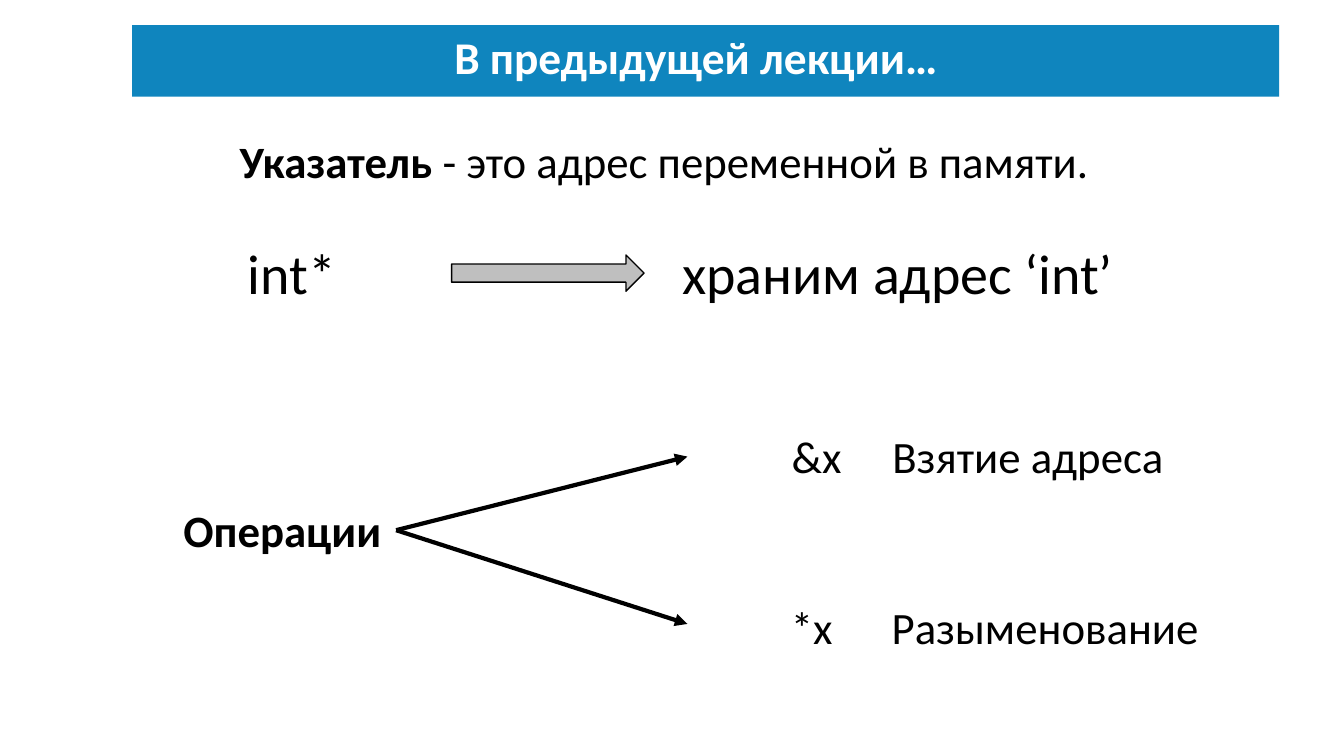
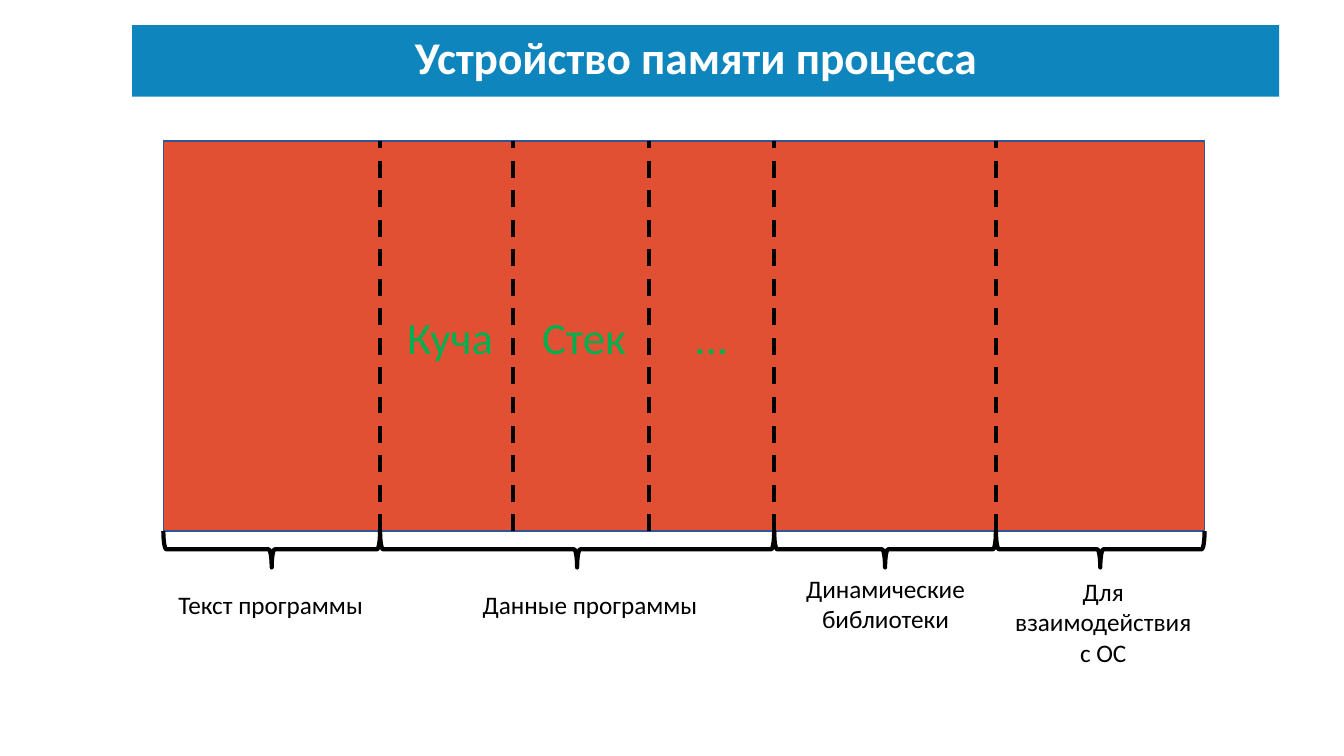
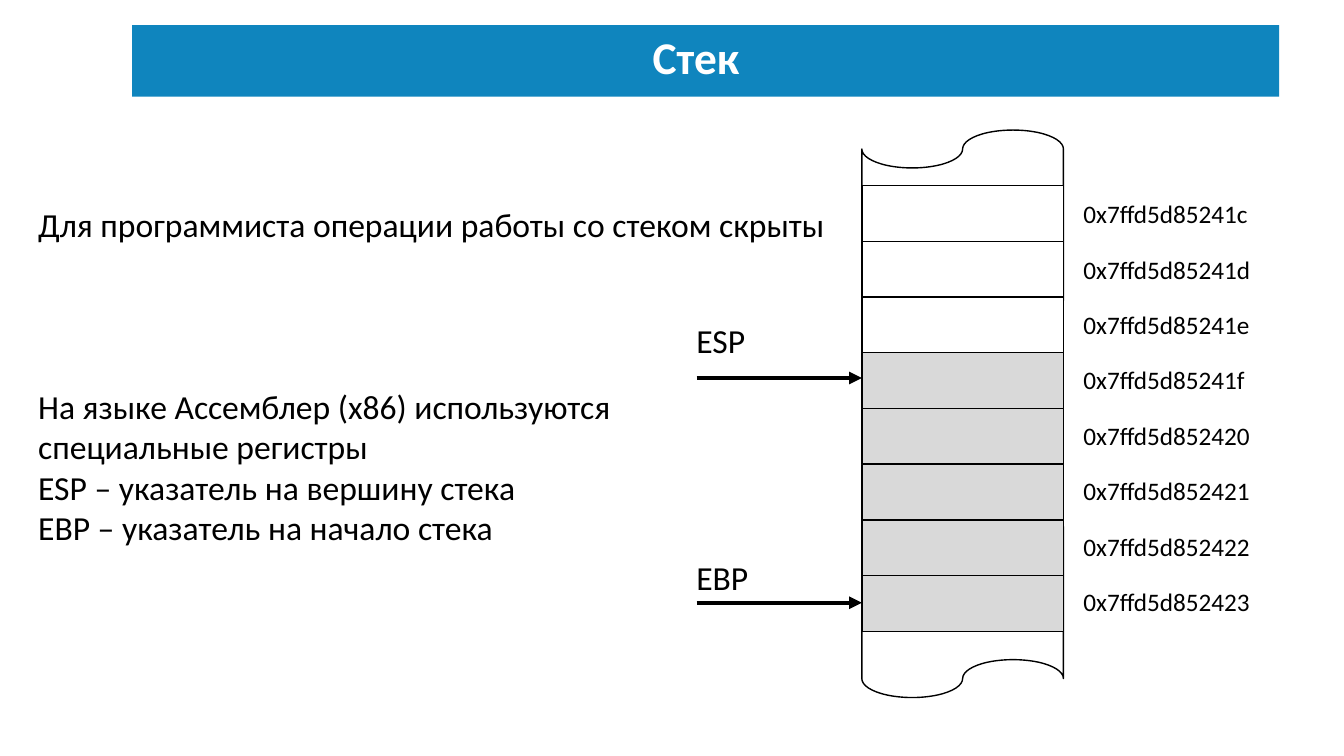
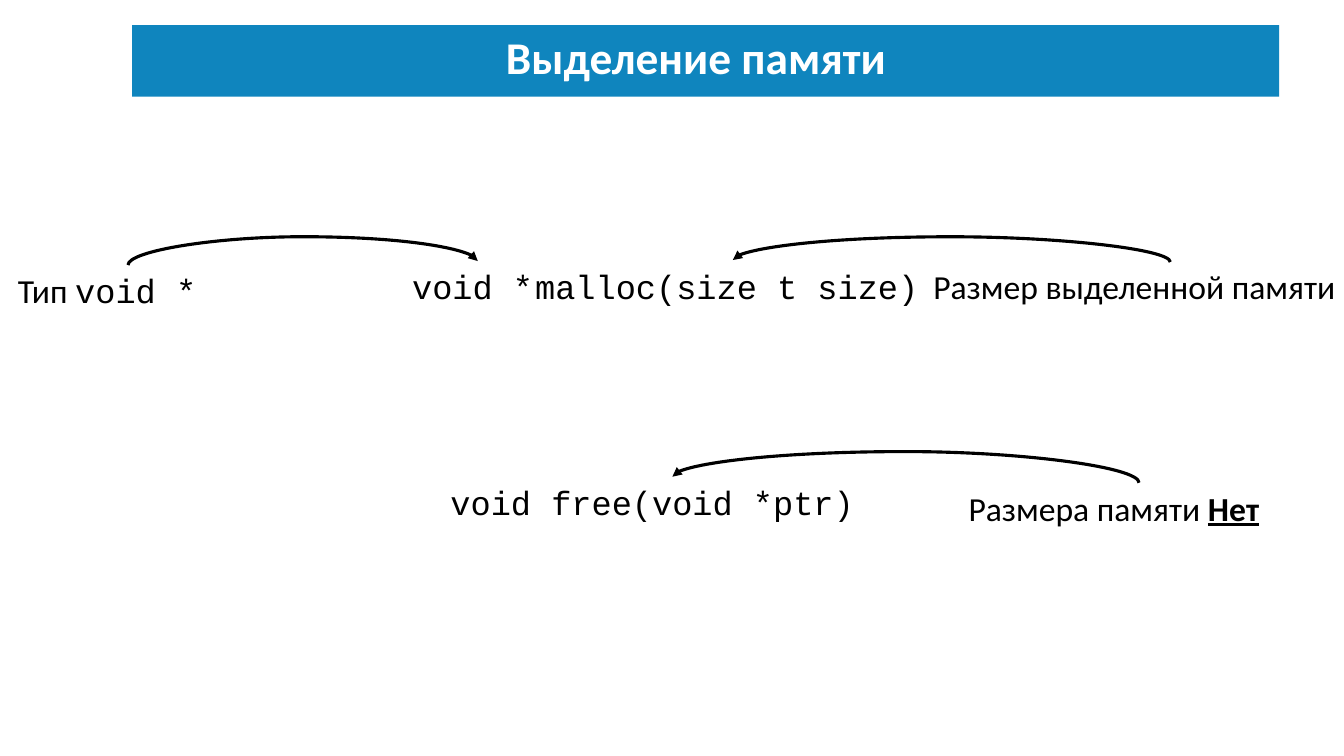
from itertools import pairwise
from pptx import Presentation
from pptx.dml.color import RGBColor
from pptx.enum.dml import MSO_LINE
from pptx.enum.shapes import MSO_CONNECTOR, MSO_SHAPE
from pptx.enum.text import MSO_ANCHOR, MSO_AUTO_SIZE, PP_ALIGN
from pptx.oxml.ns import qn
from pptx.util import Inches, Pt
from lxml import etree

RECT = MSO_SHAPE.RECTANGLE
ARROW = MSO_SHAPE.RIGHT_ARROW
BRACE = MSO_SHAPE.RIGHT_BRACE
TAPE = MSO_SHAPE.FLOWCHART_PUNCHED_TAPE
LINE = MSO_CONNECTOR.STRAIGHT
CURVE = MSO_CONNECTOR.CURVE
DASH = MSO_LINE.DASH
LEFT = PP_ALIGN.LEFT
MID = PP_ALIGN.CENTER
CENTER = MSO_ANCHOR.MIDDLE
GROW = MSO_AUTO_SIZE.SHAPE_TO_FIT_TEXT

COLS, ROWS = 133.33, 75
BLUE, RED, GREEN, NAVY = "0F85BE", "DF3E1E", "00B050", "325491"
BLACK, WHITE, GRAY, PALE = "000000", "FFFFFF", "BFBFBF", "D9D9D9"
SANS, MONO = "Calibri", "Courier New"


def cell(n):
    return Inches(n / 10)


def paint(part, hue):
    part.rgb = RGBColor.from_string(hue)


def style(run, size, hue=BLACK, bold=False, face=SANS, under=False):
    font = run.font
    font.size, font.name, font.bold = Pt(size), face, bold
    if under:
        font.underline = True
    paint(font.color, hue)


def label(slide, box, text, size, align=LEFT, wrap=True, **look):
    area = slide.shapes.add_textbox(*map(cell, box))
    frame = area.text_frame
    frame.word_wrap = wrap
    frame.auto_size = GROW
    frame.text = text
    for para in frame.paragraphs:
        para.alignment = align
        for run in para.runs:
            style(run, size, **look)
    return frame


def extend(frame, text, size, **look):
    run = frame.paragraphs[-1].add_run()
    run.text = text
    style(run, size, **look)


def shape(slide, kind, box, fill=None, edge=None, width=1):
    item = slide.shapes.add_shape(kind, *map(cell, box))
    item.shadow.inherit = False
    if fill:
        item.fill.solid()
        paint(item.fill.fore_color, fill)
    else:
        item.fill.background()
    if edge:
        paint(item.line.color, edge)
        item.line.width = Pt(width)
    else:
        item.line.fill.background()
    return item


def link(slide, start, end, kind=LINE, width=3, dash=None, head=True):
    item = slide.shapes.add_connector(kind, *map(cell, start + end))
    paint(item.line.color, BLACK)
    item.line.width = Pt(width)
    if dash:
        item.line.dash_style = dash
    if head:
        tip = etree.SubElement(item.line._ln, qn("a:tailEnd"))
        tip.set("type", "triangle")
    etree.SubElement(item._element.spPr, qn("a:effectLst"))
    return item


def arc(slide, start, end, peak):
    (ax, ay), (bx, by) = start, end
    deep, wide = abs(ay - by), abs(ax - bx)
    item = link(slide, start, end, CURVE, 2.25)
    item.left = cell((ax + bx - deep) / 2)
    item.top = cell((ay + by - wide) / 2)
    item.width, item.height = cell(deep), cell(wide)
    right = bx > ax
    form = item._element.spPr.find(qn("a:xfrm"))
    form.set("rot", str((90 if right else 270) * 60000))
    form.set("flipH", "1" if right else "0")
    form.set("flipV", "1")
    geom = item._element.spPr.find(qn("a:prstGeom"))
    geom.set("prst", "curvedConnector3")
    guides = geom.find(qn("a:avLst"))
    if guides is None:
        guides = etree.SubElement(geom, qn("a:avLst"))
    guide = etree.SubElement(guides, qn("a:gd"))
    guide.set("name", "adj1")
    guide.set("fmla", f"val {round((ay - peak) / deep * 100000)}")


def title(slide, box, text):
    x, y, w, h = box
    shape(slide, RECT, box, BLUE)
    frame = label(slide, (x, y + 0.7, w - 1.9, h - 1.6), text, 32.4, MID,
                  hue=WHITE, bold=True)
    frame.auto_size = MSO_AUTO_SIZE.NONE
    frame.vertical_anchor = CENTER
    frame.paragraphs[0].line_spacing = 0.9


def define(slide, box):
    x, y, w, h = box
    frame = label(slide, (x, y, w, 6.4), "Указатель", 32, bold=True)
    extend(frame, " - это адрес переменной в памяти.", 32)
    base = y + h - 7.7
    label(slide, (x + 0.8, base, 12.1, 7.7), "int*", 40, wrap=False)
    label(slide, (x + 43.9, base, 45.4, 7.7), "храним адрес ‘int’", 40,
          wrap=False)
    shape(slide, ARROW, (x + 22, base + 2.1, 19.1, 3.6), GRAY, BLACK)


def fork(slide, box):
    x, y, w, h = box
    root = (x + 22.1, y + 10.6)
    label(slide, (x, y + 7.4, 22.1, 6.4), "Операции", 32, bold=True)
    items = [("&x\t\tВзятие адреса", 50, 59.6, 0, 3.3),
             ("*x\t\tРазыменование", 54.9, 53.2, 17, 19.9)]
    for text, left, wide, top, tip in items:
        label(slide, (x + left, y + top, wide, 6.4), text, 32, MID)
        link(slide, root, (x + 51, y + tip))


def recap(slide):
    define(slide, (22.8, 12.8, 91.7, 18.1))
    fork(slide, (17.2, 42, 110.6, 23.4))


def memory(slide, box):
    x, y, w, h = box
    foot = y + h
    bar = shape(slide, RECT, box, RED, NAVY)
    tint = bar._element.spPr.find(qn("a:solidFill"))[0]
    etree.SubElement(tint, qn("a:alpha")).set("val", "90000")
    edges = [0, 21.5, 60.6, 82.6, w]
    for cut in edges[1:-1] + [34.7, 48.2]:
        link(slide, (x + cut, foot), (x + cut, y), dash=DASH, head=False)
    for a, b in pairwise(edges):
        span = b - a
        turn = shape(slide, BRACE,
                     (x + (a + b) / 2 - 1.8, foot + 1.8 - span / 2, 3.6, span),
                     None, BLACK, 3)
        turn.rotation = 90
    notes = [("Текст программы", 0.5, 5.3, 20.5, 4, False),
             ("Данные программы", 30.7, 5.3, 23.6, 4, False),
             ("Динамические библиотеки", 61.5, 3.7, 20.3, 7.1, True),
             ("Для взаимодействия с ОС", 83.1, 4, 20.3, 10.1, True)]
    for text, left, top, wide, tall, wrap in notes:
        label(slide, (x + left, foot + top, wide, tall), text, 18,
              MID if wrap else LEFT, wrap)
    for text, left, wide in [("Куча", 23.2, 10.6), ("Стек", 36.6, 10.4),
                             ("...", 51.7, 5.4)]:
        label(slide, (x + left, y + 16.2, wide, 6.4), text, 32, wrap=False,
              hue=GREEN)


def layout(slide):
    memory(slide, (16.2, 14, 103.3, 38.7))


def column(slide, box):
    x, y, w, h = box
    cap, step, first = 18.8, 5.53, 5.5
    for top in (y, y + h - cap):
        shape(slide, TAPE, (x, top, w, cap), WHITE, BLACK)
    for n, end in enumerate("1c 1d 1e 1f 20 21 22 23".split()):
        shape(slide, RECT, (x, y + first + n * step, w, step),
              WHITE if n < 3 else PALE, BLACK)
        label(slide, (x + w + 1, y + 6.3 + n * 5.5, 18.7, 4),
              "0x7ffd5d8524" + end, 18, wrap=False)


def marks(slide, box):
    x, y, w, h = box
    for text, top, tip in [("ESP", 0, 6.3), ("EBP", 23.6, h)]:
        label(slide, (x - 1, y + top, 8.7, 5), text, 24)
        link(slide, (x, y + tip), (x + w, y + tip))


def prose(slide, box):
    x, y, w, h = box
    label(slide, (x, y, w, 5),
          "Для программиста операции работы со стеком скрыты", 24, wrap=False)
    label(slide, (x, y + h - 17.2, 61.8, 17.2),
          "На языке Ассемблер (x86) используются специальные регистры\n"
          "ESP – указатель на вершину стека\n"
          "EBP – указатель на начало стека", 24)


def stack(slide):
    column(slide, (85.5, 12.9, 20, 56.3))
    prose(slide, (2.8, 19.7, 80.8, 35.3))
    marks(slide, (69.1, 31.2, 16.4, 28.6))


def malloc(slide, box):
    x, y, w, h = box
    label(slide, (x + 51.3, y, 41.1, 5), "malloc(size t size)", 24, face=MONO)
    label(slide, (x + 39.1, y, 15.2, 5), "void *", 24, face=MONO)
    label(slide, (x + 90.8, y, 48.8, 5), "Размер выделенной памяти", 24)
    kind = label(slide, (x, y + 0.4, 23.7, 5), "Тип ", 24)
    extend(kind, "void *", 24, face=MONO)
    arc(slide, (x + 11.9, y + 0.4), (x + 46.6, y), y - 2.4)
    arc(slide, (x + 115.3, y + 0.1), (x + 71.9, y - 0.1), y - 2.4)


def free(slide, box):
    x, y, w, h = box
    label(slide, (x, y, 45.9, 5), "void free(void *ptr)", 24, face=MONO)
    size = label(slide, (x + 51.4, y + 0.6, 35.9, 5), "Размера памяти ", 24)
    extend(size, "Нет", 24, bold=True, under=True)
    arc(slide, (x + 69.3, y + 0.6), (x + 23, y), y - 2.5)


def alloc(slide):
    malloc(slide, (0.8, 25.9, 132.5, 5.4))
    free(slide, (43.7, 47.3, 87.3, 5.6))


def main():
    deck = Presentation()
    deck.slide_width, deck.slide_height = cell(COLS), cell(ROWS)
    pages = [("В предыдущей лекции…", recap),
             ("Устройство памяти процесса", layout),
             ("Стек", stack),
             ("Выделение памяти", alloc)]
    for text, draw in pages:
        slide = deck.slides.add_slide(deck.slide_layouts[6])
        title(slide, (13.1, 2.5, 113.8, 7.1), text)
        draw(slide)
    deck.save("out.pptx")


if __name__ == "__main__":
    main()
